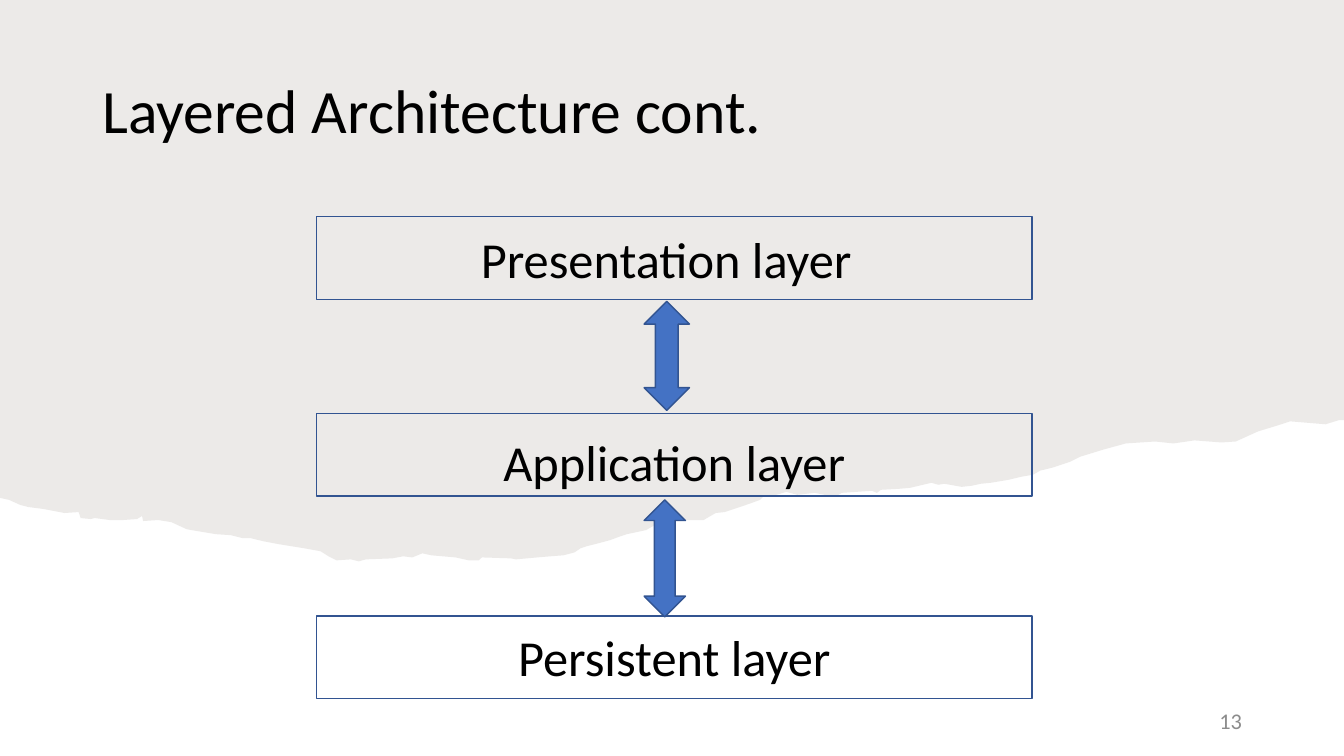
"""Build the layered architecture slide: three layers joined by double arrows on a torn-paper background."""
from lxml import etree
from pptx import Presentation
from pptx import util as u
from pptx.dml.color import RGBColor
from pptx.enum import shapes, text
from pptx.oxml import ns

PAPER = RGBColor(0x82, 0x76, 0x6A)
BLUE = RGBColor(0x44, 0x72, 0xC4)
OUTLINE = RGBColor(0x32, 0x54, 0x91)
BLACK = RGBColor(0, 0, 0)
GREY = RGBColor(0x8C, 0x8C, 0x8C)
FONT = "Calibri"

TORN_EDGE = [
    (960, 300.2), (956.2, 300.2), (946.8, 303.1), (921.6, 301), (913, 303.8), (898.6, 308.2),
    (882.7, 315.4), (872.6, 316.1), (853.2, 314.6), (838.1, 316.8), (825.1, 315.4), (804.2, 316.8),
    (788.4, 321.1), (771.8, 326.2), (764.6, 329.8), (751.7, 334.1), (743, 336.2), (738, 339.1),
    (729.4, 340.6), (720.7, 342.7), (707.8, 344.9), (700.6, 345.6), (694.1, 347), (686.9, 347.8),
    (674.6, 345.6), (670.3, 346.3), (665.3, 344.9), (650.2, 348.5), (642.2, 349.2), (629.3, 349.9),
    (626.4, 352.1), (622.8, 350.6), (601.2, 352.1), (599, 353.5), (592.6, 354.2), (581.8, 352.1),
    (569.5, 353.5), (561.6, 351.4), (552.2, 354.2), (545.8, 354.2), (542.9, 357.1), (535, 360),
    (517.7, 365.8), (511.2, 366.5), (502.6, 371.5), (474.5, 371.5), (465.1, 376.6), (461.5, 378.7),
    (447.8, 381.6), (443.5, 383), (435.6, 385.9), (424.8, 388.8), (419, 390.2), (414.7, 391.7),
    (410.4, 394.6), (402.5, 396.7), (393.1, 397.4), (383.8, 398.2), (368.6, 399.6), (365, 398.9),
    (344.2, 398.2), (342, 400.3), (334.8, 400.3), (325.4, 398.2), (308.2, 396.7), (301.7, 395.3),
    (294.5, 398.2), (288, 397.4), (280.1, 398.9), (261.4, 399.6), (256.3, 401), (250.6, 399.6),
    (240.5, 400.3), (234.7, 397.4), (229, 393.8), (217.4, 391.7), (199.4, 388.8), (187.9, 386.6),
    (179.3, 384.5), (173.5, 384.5), (164.9, 382.3), (154.1, 381.6), (136.8, 378.7), (133.2, 378),
    (122.4, 373), (113, 371.5), (102.2, 372.2), (101.5, 368.6), (97.9, 370.8), (87.8, 371.5),
    (78.5, 371.5), (67.7, 370.1), (64.8, 370.8), (57.6, 370.1), (56.2, 365.8), (46.1, 366.5),
    (31, 363.6), (20.2, 362.2), (14.4, 360.7), (6.5, 357.1), (0, 355.7),
]

presentation = Presentation()
presentation.slide_width, presentation.slide_height = u.Pt(960), u.Pt(540)
slide = presentation.slides.add_slide(presentation.slide_layouts[6])


def add_text(wording, left, top, width, height, size, color, align, anchor):
    box = slide.shapes.add_textbox(u.Pt(left), u.Pt(top), u.Pt(width), u.Pt(height))
    frame = box.text_frame
    frame.word_wrap = True
    frame.vertical_anchor = anchor
    paragraph = frame.paragraphs[0]
    paragraph.text = wording
    paragraph.alignment = align
    paragraph.font.name = FONT
    paragraph.font.size = u.Pt(size)
    paragraph.font.color.rgb = color
    return paragraph


def add_outlined(kind, left, top, width, height):
    shape = slide.shapes.add_shape(kind, u.Pt(left), u.Pt(top), u.Pt(width), u.Pt(height))
    shape.shadow.inherit = False
    shape.line.color.rgb = OUTLINE
    shape.line.width = u.Pt(1)
    return shape


builder = slide.shapes.build_freeform(0, 0, scale=1)
builder.add_line_segments([(u.Pt(x), u.Pt(y)) for x, y in [(960, 0)] + TORN_EDGE])
paper = builder.convert_to_shape()
paper.shadow.inherit = False
paper.line.fill.background()
paper.fill.solid()
paper.fill.fore_color.rgb = PAPER
paper_color = paper.fill._xPr.find(".//" + ns.qn("a:srgbClr"))
etree.SubElement(paper_color, ns.qn("a:alpha"), val="15000")

page_number = add_text("13", 678.24, 500.4, 216, 28.8, 16, GREY,
                       text.PP_ALIGN.RIGHT, text.MSO_ANCHOR.MIDDLE)
page_number.space_after = u.Pt(6)
title = add_text("Layered Architecture cont.", 66, 28.8, 828, 104.4, 44, BLACK,
                 text.PP_ALIGN.LEFT, text.MSO_ANCHOR.MIDDLE)
title.line_spacing = 0.9

layers = [
    ("Presentation layer", 154.8, 222.5, 159.1, 506.9),
    ("Application layer", 295.2, 226.1, 304.6, 511.2),
    ("Persistent layer", 439.9, 226.1, 443.5, 511.2),
]
for wording, box_top, text_left, text_top, text_width in layers:
    add_outlined(shapes.MSO_SHAPE.RECTANGLE, 226.1, box_top, 511.2, 59).fill.background()
    add_text(wording, text_left, text_top, text_width, 51, 36, BLACK,
             text.PP_ALIGN.CENTER, text.MSO_ANCHOR.TOP)

for top, width, height in [(215.3, 32.4, 77.8), (357.1, 29.5, 83.5)]:
    arrow = add_outlined(shapes.MSO_SHAPE.UP_DOWN_ARROW, 460.1, top, width, height)
    arrow.fill.solid()
    arrow.fill.fore_color.rgb = BLUE

presentation.save("out.pptx")
